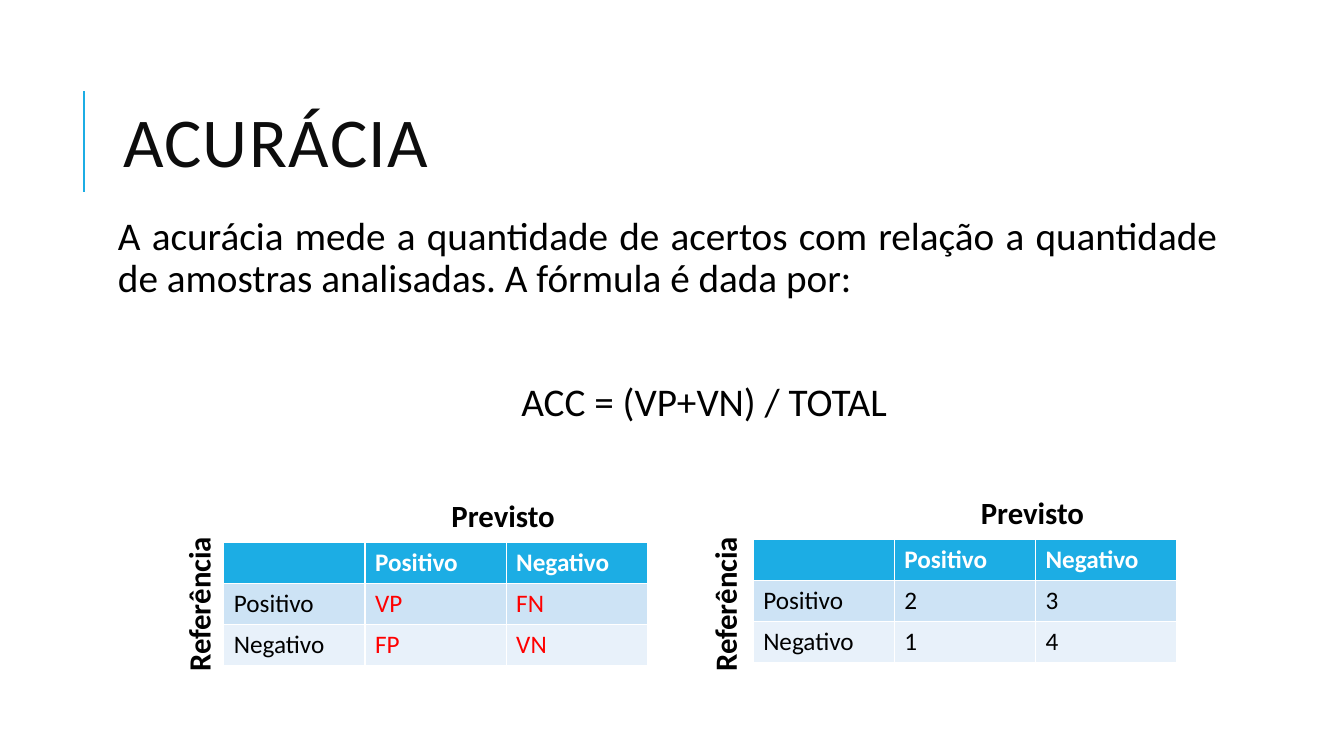
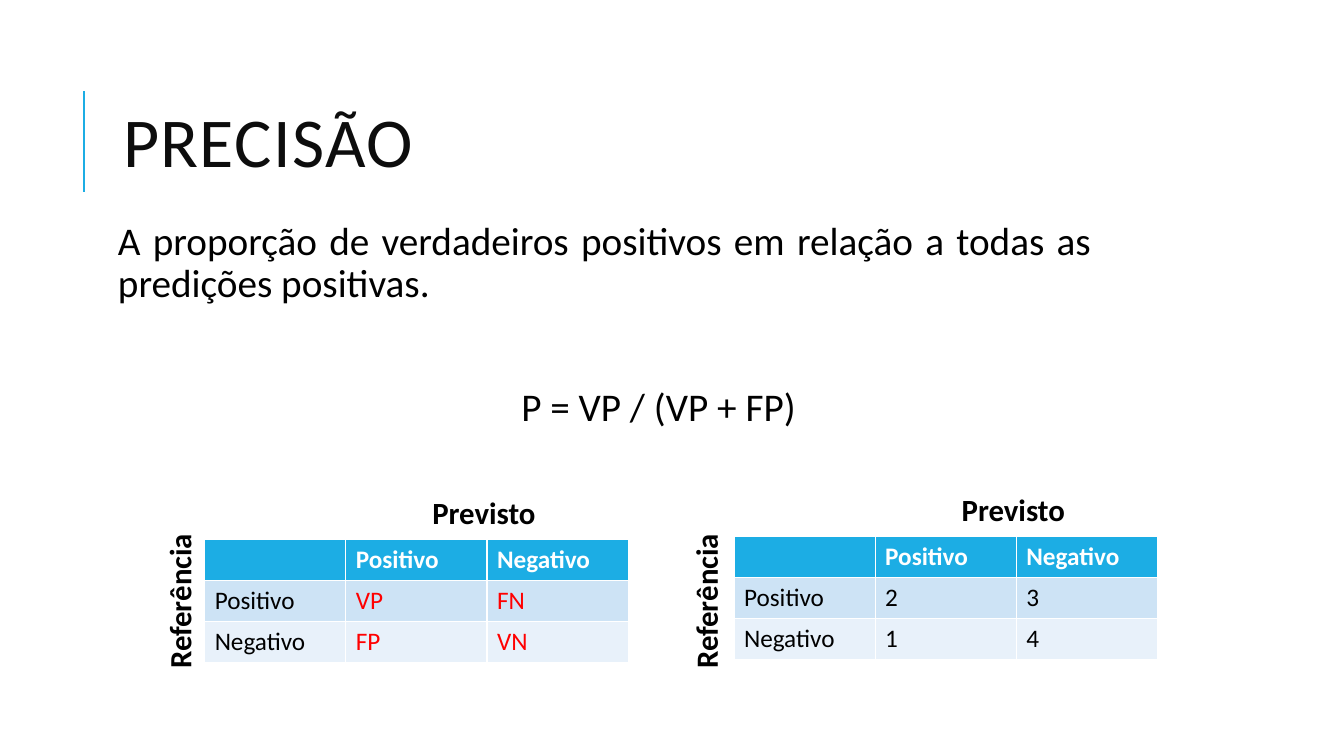
from lxml.etree import SubElement
from pptx import Presentation
from pptx.dml.color import RGBColor
from pptx.enum.shapes import MSO_CONNECTOR as Connector
from pptx.enum.text import MSO_ANCHOR as Anchor, MSO_AUTO_SIZE as AutoSize, PP_ALIGN as Align
from pptx.oxml.ns import qn
from pptx.util import Inches, Pt

ACCENT = RGBColor(0x1C, 0xAD, 0xE4)
BAND_DARK = RGBColor(0xCD, 0xE3, 0xF5)
BAND_LIGHT = RGBColor(0xE8, 0xF1, 0xFA)
TITLE_INK = RGBColor(0x0D, 0x0D, 0x0D)
BLACK = RGBColor(0, 0, 0)
WHITE = RGBColor(0xFF, 0xFF, 0xFF)
RED = RGBColor(0xFF, 0, 0)
FONT = "Calibri"


class Deck:
    def __init__(self):
        self.prs = Presentation()
        self.prs.slide_width = Inches(13.33)
        self.prs.slide_height = Inches(7.5)
        self.slide = None

    def style(self, paragraph, size, color=BLACK, bold=False, align=Align.LEFT):
        paragraph.alignment = align
        font = paragraph.font
        font.name, font.size, font.bold = FONT, Pt(size), bold
        font.color.rgb = color

    def place(self, shape, left, top, width, height):
        shape.left, shape.top = Inches(left), Inches(top)
        shape.width, shape.height = Inches(width), Inches(height)

    def new_slide(self, heading):
        self.slide = self.prs.slides.add_slide(self.prs.slide_layouts[1])
        self.accent_line()
        title = self.slide.shapes.title
        self.place(title, 1.12, 0.64, 10.63, 1.64)
        frame = title.text_frame
        frame.text = heading
        frame.vertical_anchor = Anchor.MIDDLE
        frame.auto_size = AutoSize.NONE
        paragraph = frame.paragraphs[0]
        paragraph.line_spacing = 0.8
        self.style(paragraph, 50, TITLE_INK)
        paragraph.runs[0].font._element.set("spc", "100")

    def accent_line(self):
        line = self.slide.shapes.add_connector(
            Connector.STRAIGHT, Inches(0.83), Inches(1.9), Inches(0.83), Inches(0.9))
        line.line.color.rgb = ACCENT
        line.line.width = Pt(1.5)
        SubElement(line._element.spPr, qn("a:effectLst"))

    def body(self, top, width, definition, formula):
        body = self.slide.placeholders[1]
        self.place(body, 1.12, top, width, 4.62)
        frame = body.text_frame
        frame.auto_size = AutoSize.NONE
        frame.margin_left = frame.margin_right = Inches(0.05)
        frame.margin_top = frame.margin_bottom = Inches(0.05)
        frame.text = f"{definition}\n{formula}"
        for paragraph, indent, before in zip(frame.paragraphs, (0, 4), (12, 56)):
            self.style(paragraph, 28, align=Align.JUSTIFY)
            paragraph.line_spacing = 0.9
            paragraph.space_before, paragraph.space_after = Pt(before), Pt(2)
            properties = paragraph._p.get_or_add_pPr()
            properties.set("marL", str(Inches(indent)))
            properties.set("indent", "0")
            bullet = SubElement(properties, qn("a:buNone"))
            properties.find(qn("a:defRPr")).addprevious(bullet)

    def axis_label(self, text, left, top, width, rotation=0):
        label = self.slide.shapes.add_textbox(
            Inches(left), Inches(top), Inches(width), Inches(0.47))
        label.rotation = rotation
        frame = label.text_frame
        frame.word_wrap = True
        frame.auto_size = AutoSize.SHAPE_TO_FIT_TEXT
        frame.text = text
        self.style(frame.paragraphs[0], 22, bold=True, align=Align.CENTER)

    def matrix(self, left, top, values, value_color):
        table = self.slide.shapes.add_table(
            3, 3, Inches(left), Inches(top), Inches(4.2), Inches(1.22)).table
        classes = ("Positivo", "Negativo")
        rows = [("", *classes)] + [(name, *row) for name, row in zip(classes, values)]
        fills = (ACCENT, BAND_DARK, BAND_LIGHT)
        for r, (row, fill) in enumerate(zip(rows, fills)):
            for c, text in enumerate(row):
                cell = table.cell(r, c)
                cell.text = text
                cell.fill.solid()
                cell.fill.fore_color.rgb = fill
                color = WHITE if r == 0 else value_color if c else BLACK
                self.style(cell.text_frame.paragraphs[0], 18, color, bold=r == 0)

    def matrix_pair(self, left, top):
        symbols = (("VP", "FN"), ("FP", "VN"))
        counts = (("2", "3"), ("1", "4"))
        for i, (values, color) in enumerate(((symbols, RED), (counts, BLACK))):
            x, y = left + 5.25 * i, top - 0.03 * i
            self.matrix(x, y, values, color)
            self.axis_label("Previsto", x + 1.45, y - 0.5, 2.64)
            self.axis_label("Referência", left - 1.37 + 5.22 * i, top + 0.38, 2.24, 270)


deck = Deck()

deck.new_slide("ACURÁCIA")
deck.body(2.1, 11,
          "A acurácia mede a quantidade de acertos com relação a quantidade "
          "de amostras analisadas. A fórmula é dada por:",
          "ACC = (VP+VN) / TOTAL")
deck.matrix_pair(2.22, 5.38)

deck.new_slide("PRECISÃO")
deck.body(2.15, 9.75,
          "A proporção de verdadeiros positivos em relação a todas as "
          "predições positivas.",
          "P = VP / (VP + FP)")
deck.matrix_pair(2.03, 5.35)

deck.prs.save("out.pptx")
